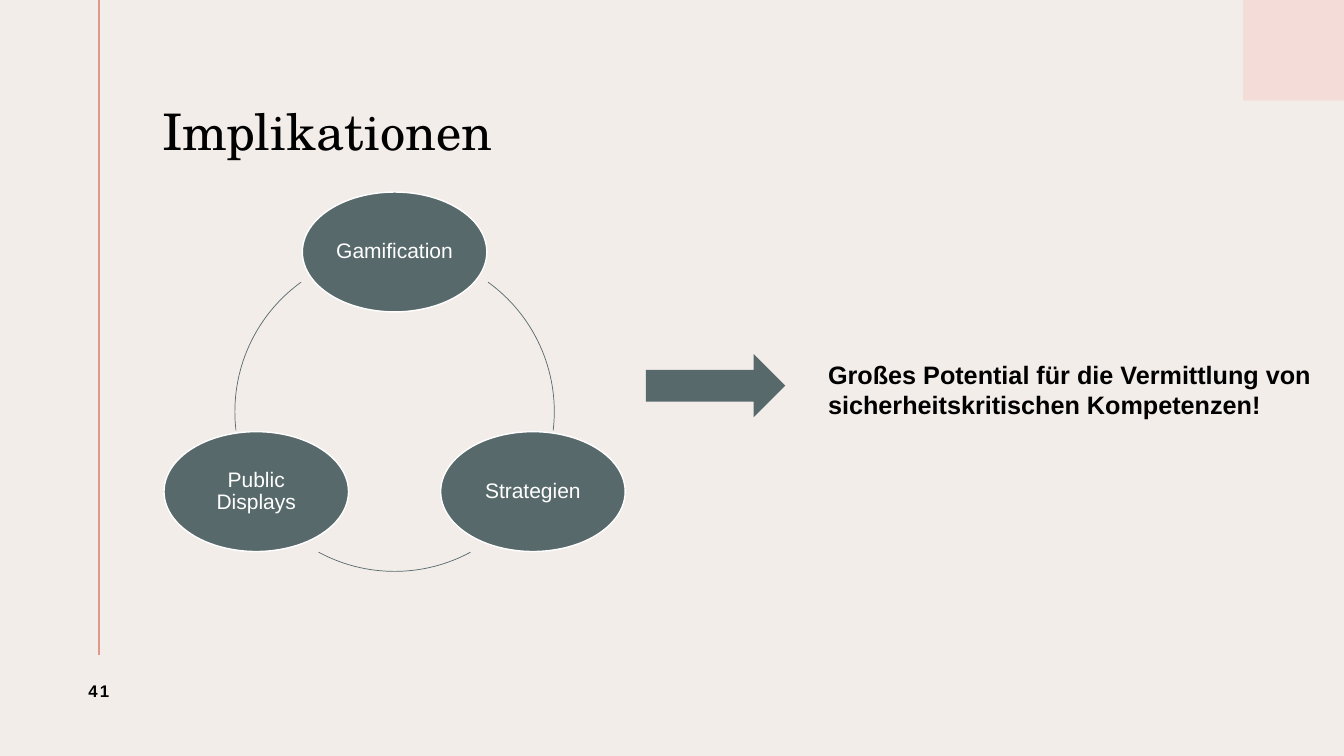
"""Build the slide "Implikationen" with a three-part cycle and its conclusion."""
import math

import lxml.etree
import pptx
import pptx.dml.color
import pptx.enum.shapes
import pptx.enum.text
import pptx.oxml.ns
import pptx.util

Cm = pptx.util.Cm
Pt = pptx.util.Pt
RGBColor = pptx.dml.color.RGBColor
MSO_SHAPE = pptx.enum.shapes.MSO_SHAPE
PP_ALIGN = pptx.enum.text.PP_ALIGN
MSO_ANCHOR = pptx.enum.text.MSO_ANCHOR

BACKGROUND = RGBColor(0xF3, 0xED, 0xEA)
ROSE = RGBColor(0xF4, 0xDD, 0xD8)
CORAL = RGBColor(0xDF, 0x99, 0x8B)
SLATE = RGBColor(0x58, 0x69, 0x6B)
BLACK = RGBColor(0, 0, 0)
WHITE = RGBColor(0xFF, 0xFF, 0xFF)
BODY_FONT = "Arial"
TITLE_FONT = "TeX Gyre Schola"


def set_text(sp, text, size, color=BLACK, font=BODY_FONT, bold=False,
             align=PP_ALIGN.LEFT, anchor=MSO_ANCHOR.MIDDLE, spacing=None):
    """Write one formatted paragraph into a shape and return its run."""
    tf = sp.text_frame
    tf.word_wrap = True
    tf.vertical_anchor = anchor
    p = tf.paragraphs[0]
    p.text = text
    p.alignment = align
    p.line_spacing = spacing
    r = p.runs[0]
    r.font.name = font
    r.font.size = Pt(size)
    r.font.bold = bold
    r.font.color.rgb = color
    return r


def add_filled(s, kind, box, fill):
    """Add a borderless filled preset shape in a box given in centimetres."""
    sp = s.shapes.add_shape(kind, *map(Cm, box))
    sp.shadow.inherit = False
    sp.fill.solid()
    sp.fill.fore_color.rgb = fill
    sp.line.fill.background()
    return sp


def add_frame(s, width, height):
    """Draw the background, corner square, margin line and slide number."""
    s.background.fill.solid()
    s.background.fill.fore_color.rgb = BACKGROUND
    square = 2.54
    add_filled(s, MSO_SHAPE.RECTANGLE, (width - square, 0, square, square), ROSE)
    x, bottom = 2.49, height - square
    line = s.shapes.add_connector(
        pptx.enum.shapes.MSO_CONNECTOR.STRAIGHT, Cm(x), 0, Cm(x), Cm(bottom))
    line.line.color.rgb = CORAL
    line.line.width = Pt(1.5)
    lxml.etree.SubElement(line._element.spPr, pptx.oxml.ns.qn("a:effectLst"))
    number = s.shapes.add_textbox(Cm(x - 1.35), Cm(bottom), Cm(2.7), Cm(1.8))
    r = set_text(number, "41", 12, bold=True, align=PP_ALIGN.CENTER)
    r._r.get_or_add_rPr().set("spc", "150")


def add_title(s, box):
    """Write the slide title."""
    sp = s.shapes.add_textbox(*map(Cm, box))
    sp.text_frame.margin_left = 0
    set_text(sp, "Implikationen", 36, font=TITLE_FONT, spacing=0.9)


def add_cycle(s, box, labels, arcs):
    """Place labelled ellipses evenly on the circle in the box, joined by arcs."""
    left, top, size, _ = box
    radius = size / 2
    width, height = 4.65, 3.02
    for i, (label, angles) in enumerate(zip(labels, arcs)):
        turn = math.radians(360 * i / len(labels) - 90)
        x = left + radius + radius * math.cos(turn)
        y = top + radius + radius * math.sin(turn)
        sp = add_filled(s, MSO_SHAPE.OVAL,
                        (x - width / 2, y - height / 2, width, height), SLATE)
        sp.line.color.rgb = WHITE
        sp.line.width = Pt(1)
        tf = sp.text_frame
        tf.margin_left = tf.margin_right = Cm(0.15)
        tf.margin_top = tf.margin_bottom = Cm(0.15)
        set_text(sp, label, 15, WHITE, align=PP_ALIGN.CENTER, spacing=0.9)

        arc = s.shapes.add_shape(MSO_SHAPE.ARC, *map(Cm, box))
        arc.shadow.inherit = False
        arc.fill.background()
        arc.line.color.rgb = SLATE
        arc.line.width = Pt(0.5)
        for j, degrees in enumerate(angles):
            arc.adjustments[j] = degrees * 0.6


def add_conclusion(s, box):
    """Draw the arrow and the conclusion to its right."""
    left, top, width, height = box
    add_filled(s, MSO_SHAPE.RIGHT_ARROW, (left, top, 3.51, 1.6), SLATE)
    offset = 4.34
    sp = s.shapes.add_textbox(Cm(left + offset), Cm(top), Cm(width - offset), Cm(height))
    set_text(sp, "Großes Potential für die Vermittlung von "
             "sicherheitskritischen Kompetenzen!", 18, bold=True,
             anchor=MSO_ANCHOR.TOP)


def main():
    """Assemble and save the presentation."""
    width, height = 33.87, 19.05
    prs = pptx.Presentation()
    prs.slide_width = Cm(width)
    prs.slide_height = Cm(height)
    s = prs.slides.add_slide(prs.slide_layouts[6])
    add_frame(s, width, height)
    add_title(s, (4.09, 1.4, 27.25, 3.96))
    add_cycle(s, (5.92, 6.35, 8.05, 8.05),
              ("Gamification", "Strategien", "Public Displays"),
              ((305.8, 6.7), (61.6, 118.4), (173.3, 234.2)))
    add_conclusion(s, (16.28, 8.92, 17.14, 1.8))
    prs.save("out.pptx")


if __name__ == "__main__":
    main()
